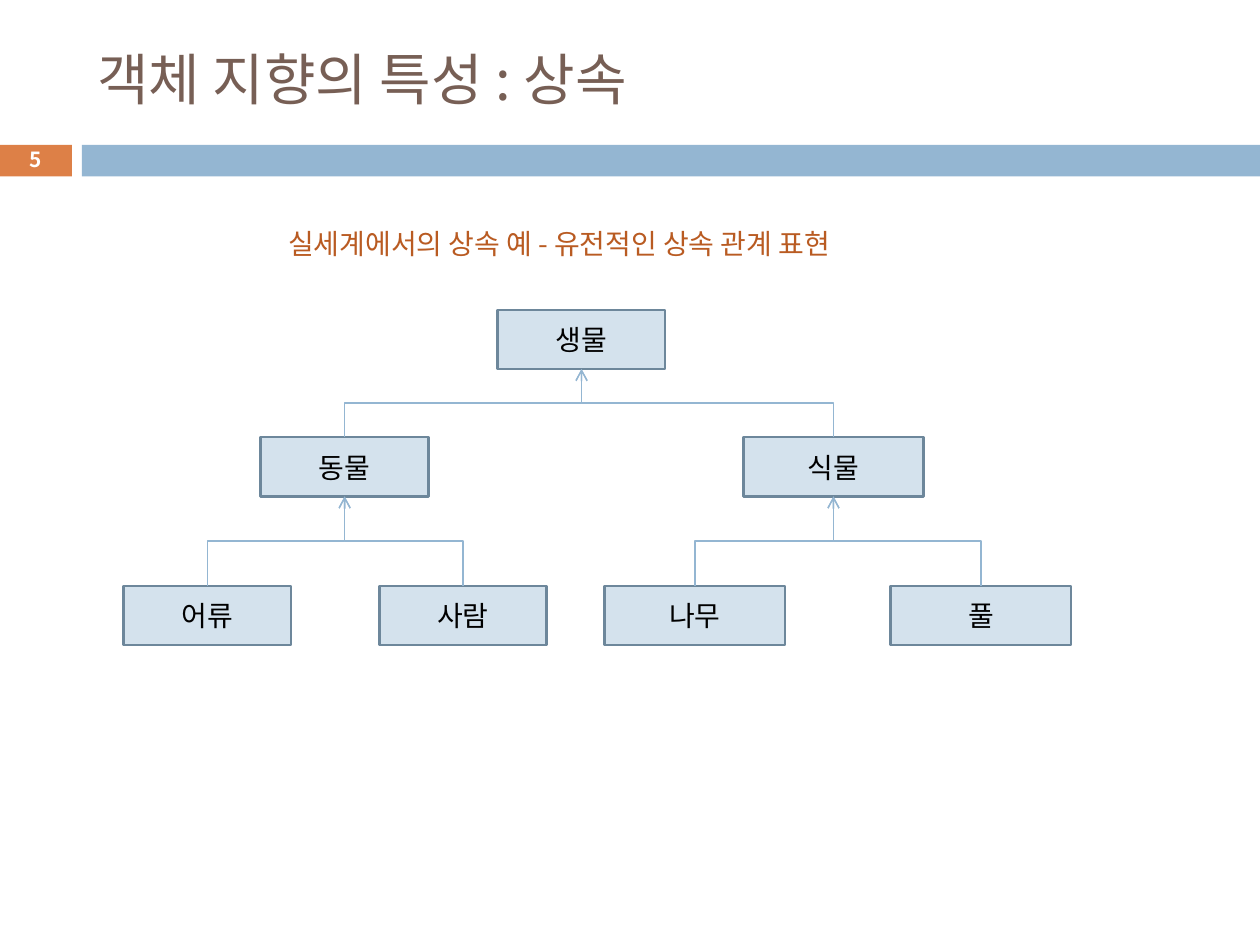
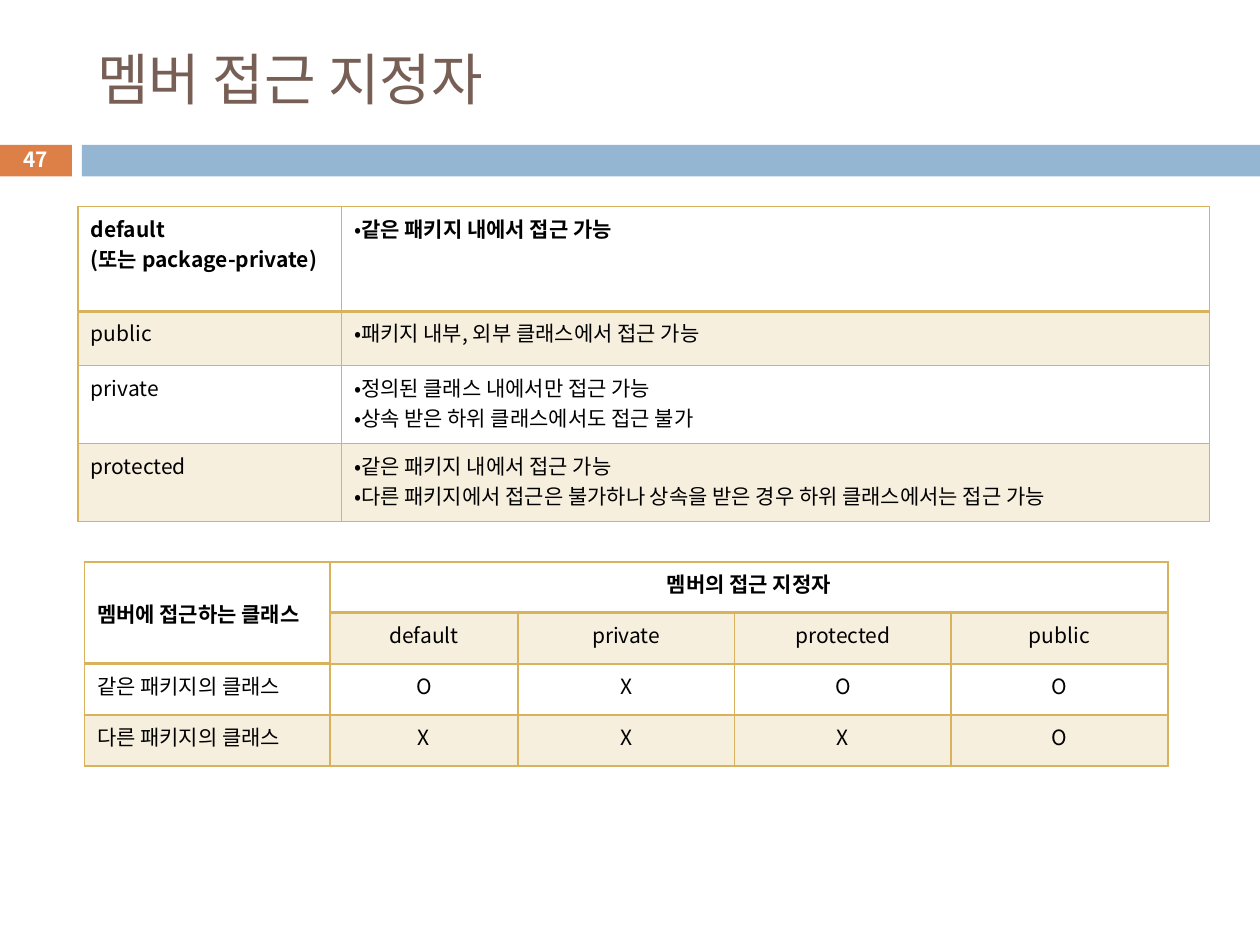
from lxml import etree
from pptx import Presentation
from pptx import util as u
from pptx.dml.color import RGBColor
from pptx.enum import shapes, text
from pptx.oxml import ns

FONT = "Noto Sans CJK KR"
ORANGE = RGBColor(0xDD, 0x80, 0x47)
BLUE = RGBColor(0x94, 0xB6, 0xD2)
BROWN = RGBColor(0x77, 0x5F, 0x55)
RUST = RGBColor(0xB9, 0x5B, 0x22)
PALE_BLUE = RGBColor(0xD4, 0xE2, 0xED)
SLATE = RGBColor(0x6D, 0x87, 0x9B)
GOLD = RGBColor(0xD8, 0xB2, 0x5C)
BLACK = RGBColor(0, 0, 0)
WHITE = RGBColor(0xFF, 0xFF, 0xFF)

TITLE = {"size": u.Pt(32), "bold": False}
CAPTION = {"size": u.Pt(16), "bold": False}
NUMBER = {"size": u.Pt(11.9), "bold": True}
CELL = {"size": u.Pt(12), "bold": False}
HEADER = {"size": u.Pt(12), "bold": True}

CLASS_BOXES = {
    "생물": (3.95, 2.46, 1.33),
    "동물": (2.07, 3.47, 1.33),
    "식물": (5.9, 3.47, 1.43),
    "어류": (0.98, 4.65, 1.33),
    "사람": (3.01, 4.65, 1.33),
    "나무": (4.8, 4.65, 1.43),
    "풀": (7.07, 4.65, 1.43),
}
PARENTS = {"동물": "생물", "식물": "생물", "어류": "동물",
           "사람": "동물", "나무": "식물", "풀": "식물"}

MODIFIERS = [
    ["default\n(또는 package-private)", "같은 패키지 내에서 접근 가능"],
    ["public", "패키지 내부, 외부 클래스에서 접근 가능"],
    ["private", "정의된 클래스 내에서만 접근 가능\n상속 받은 하위 클래스에서도 접근 불가"],
    ["protected", "같은 패키지 내에서 접근 가능\n"
     "다른 패키지에서 접근은 불가하나 상속을 받은 경우 하위 클래스에서는 접근 가능"],
]
ACCESS = [
    ["멤버에 접근하는 클래스", "멤버의 접근 지정자", "", "", ""],
    ["", "default", "private", "protected", "public"],
    ["같은 패키지의 클래스", "O", "X", "O", "O"],
    ["다른 패키지의 클래스", "X", "X", "X", "O"],
]


def inches(*lengths):
    return [u.Inches(length) for length in lengths]


def child(parent, tag, **attributes):
    return etree.SubElement(parent, ns.qn(tag), attributes)


def write(tf, content, style, color, align=text.PP_ALIGN.LEFT, bullet=False):
    for i, line in enumerate(content.split("\n")):
        p = tf.add_paragraph() if i else tf.paragraphs[0]
        p.alignment = align
        if bullet:
            pPr = p._p.get_or_add_pPr()
            pPr.set("marL", "0")
            pPr.set("indent", "0")
            child(pPr, "a:buFont", typeface=FONT)
            child(pPr, "a:buChar", char="•")
        r = p.add_run()
        r.text = line
        for name, value in {**style, "name": FONT}.items():
            setattr(r.font, name, value)
        r.font.color.rgb = color
        r.font._element.set("kern", "0")
        child(r.font._element, "a:ea", typeface=FONT)


def add_box(s, at, fill, line=None):
    sp = s.shapes.add_shape(shapes.MSO_SHAPE.RECTANGLE, *inches(*at))
    sp.shadow.inherit = False
    sp.fill.solid()
    sp.fill.fore_color.rgb = fill
    if line is None:
        sp.line.fill.background()
    else:
        sp.line.color.rgb = line
        sp.line.width = u.Pt(1.5)
    return sp


def add_text(s, at, content, style, color, **options):
    tf = s.shapes.add_textbox(*inches(*at)).text_frame
    tf.word_wrap = True
    write(tf, content, style, color, **options)
    return tf


def add_slide(prs, title, number):
    s = prs.slides.add_slide(prs.slide_layouts[5])
    sp = s.shapes.title
    sp.left, sp.top, sp.width, sp.height = inches(0.67, 0.25, 8.92, 0.74)
    tf = sp.text_frame
    tf.auto_size = text.MSO_AUTO_SIZE.NONE
    tf.vertical_anchor = text.MSO_ANCHOR.MIDDLE
    write(tf, title, TITLE, BROWN)
    add_box(s, (-0.01, 1.15, 0.58, 0.25), ORANGE)
    add_box(s, (0.65, 1.15, 9.35, 0.25), BLUE)
    tf = add_text(s, (-0.01, 1.13, 0.58, 0.27), number, NUMBER, WHITE,
                  align=text.PP_ALIGN.CENTER)
    tf.vertical_anchor = text.MSO_ANCHOR.MIDDLE
    return s


def add_class_box(s, name, left, top, width):
    sp = add_box(s, (left, top, width, 0.47), PALE_BLUE, SLATE)
    sp.text_frame.vertical_anchor = text.MSO_ANCHOR.MIDDLE
    write(sp.text_frame, name, CAPTION, BLACK, text.PP_ALIGN.CENTER)
    return sp


def add_inheritance(s, sub, base):
    c = s.shapes.add_connector(shapes.MSO_CONNECTOR.ELBOW, 0, 0, 0, 0)
    c.begin_connect(sub, 0)
    c.end_connect(base, 2)
    x1, x2 = (sp.left + sp.width // 2 for sp in (sub, base))
    y1, y2 = sub.top, base.top + base.height
    rise, run = y1 - y2, abs(x2 - x1)
    c.left, c.top = (x1 + x2 - rise) // 2, (y1 + y2 - run) // 2
    c.width, c.height = rise, run
    rightward = x2 > x1
    xfrm = c._element.spPr.find(ns.qn("a:xfrm"))
    for name, value in {"rot": 90 * 60000 if rightward else 270 * 60000,
                        "flipH": int(rightward), "flipV": 1}.items():
        xfrm.set(name, str(value))
    c.line.color.rgb = BLUE
    c.line.width = u.Pt(0.79)
    child(c.line._get_or_add_ln(), "a:tailEnd", type="arrow")
    child(c._element.spPr, "a:effectLst")


def set_borders(cell, weights):
    tcPr = cell._tc.get_or_add_tcPr()
    for i, (side, weight) in enumerate(weights.items()):
        ln = etree.Element(ns.qn(f"a:ln{side}"), w=str(u.Pt(weight)))
        child(child(ln, "a:solidFill"), "a:srgbClr", val=str(GOLD))
        tcPr.insert(i, ln)


def set_fill(cell, shaded):
    if not shaded:
        cell.fill.background()
        return
    cell.fill.solid()
    cell.fill.fore_color.rgb = GOLD
    color = cell._tc.tcPr.find(".//" + ns.qn("a:srgbClr"))
    child(color, "a:alpha", val="20000")


def add_grid(s, left, top, widths, heights, rows, headers, merges=(),
             align=text.PP_ALIGN.LEFT, bullets=False):
    frame = s.shapes.add_table(len(rows), len(widths), *inches(
        left, top, sum(widths), sum(heights)))
    table = frame.table
    table.first_row = table.horz_banding = False
    for column, width in zip(table.columns, widths):
        column.width = u.Inches(width)
    for row, height in zip(table.rows, heights):
        row.height = u.Inches(height)
    for first, last in merges:
        table.cell(*first).merge(table.cell(*last))

    def edge(r, c):
        return 2 if (r, c) in headers and (r + 1, c) not in headers else 1

    for r, row in enumerate(rows):
        for c, content in enumerate(row):
            cell = table.cell(r, c)
            header = (r, c) in headers
            set_fill(cell, r % 2 == 1 and not header)
            set_borders(cell, {"L": 1, "R": 1, "T": edge(r - 1, c), "B": edge(r, c)})
            if content:
                write(cell.text_frame, content, HEADER if header else CELL, BLACK,
                      align if c else text.PP_ALIGN.LEFT, bullets and c > 0)
    return table


def inheritance_slide(prs):
    s = add_slide(prs, "객체 지향의 특성 : 상속", "5")
    boxes = {name: add_class_box(s, name, *at) for name, at in CLASS_BOXES.items()}
    for sub, base in PARENTS.items():
        add_inheritance(s, boxes[sub], boxes[base])
    add_text(s, (2.19, 1.75, 5.55, 0.37),
             "실세계에서의 상속 예 - 유전적인 상속 관계 표현", CAPTION, RUST)


def access_slide(prs):
    s = add_slide(prs, "멤버 접근 지정자", "47")
    add_grid(s, 0.62, 1.64, [2.09, 6.89], [0.83, 0.43, 0.62, 0.62], MODIFIERS,
             headers={(0, 0), (0, 1)}, bullets=True)
    table = add_grid(s, 0.67, 4.46, [1.95, 1.49] + [1.72] * 3, [1.62 / 4] * 4, ACCESS,
                     headers={(0, c) for c in range(5)} | {(1, 0)},
                     merges=[((0, 0), (1, 0)), ((0, 1), (0, 4))],
                     align=text.PP_ALIGN.CENTER)
    table.cell(0, 0).vertical_anchor = text.MSO_ANCHOR.MIDDLE


def main():
    prs = Presentation()
    prs.slide_width, prs.slide_height = inches(10, 7.5)
    inheritance_slide(prs)
    access_slide(prs)
    prs.save("out.pptx")


if __name__ == "__main__":
    main()
